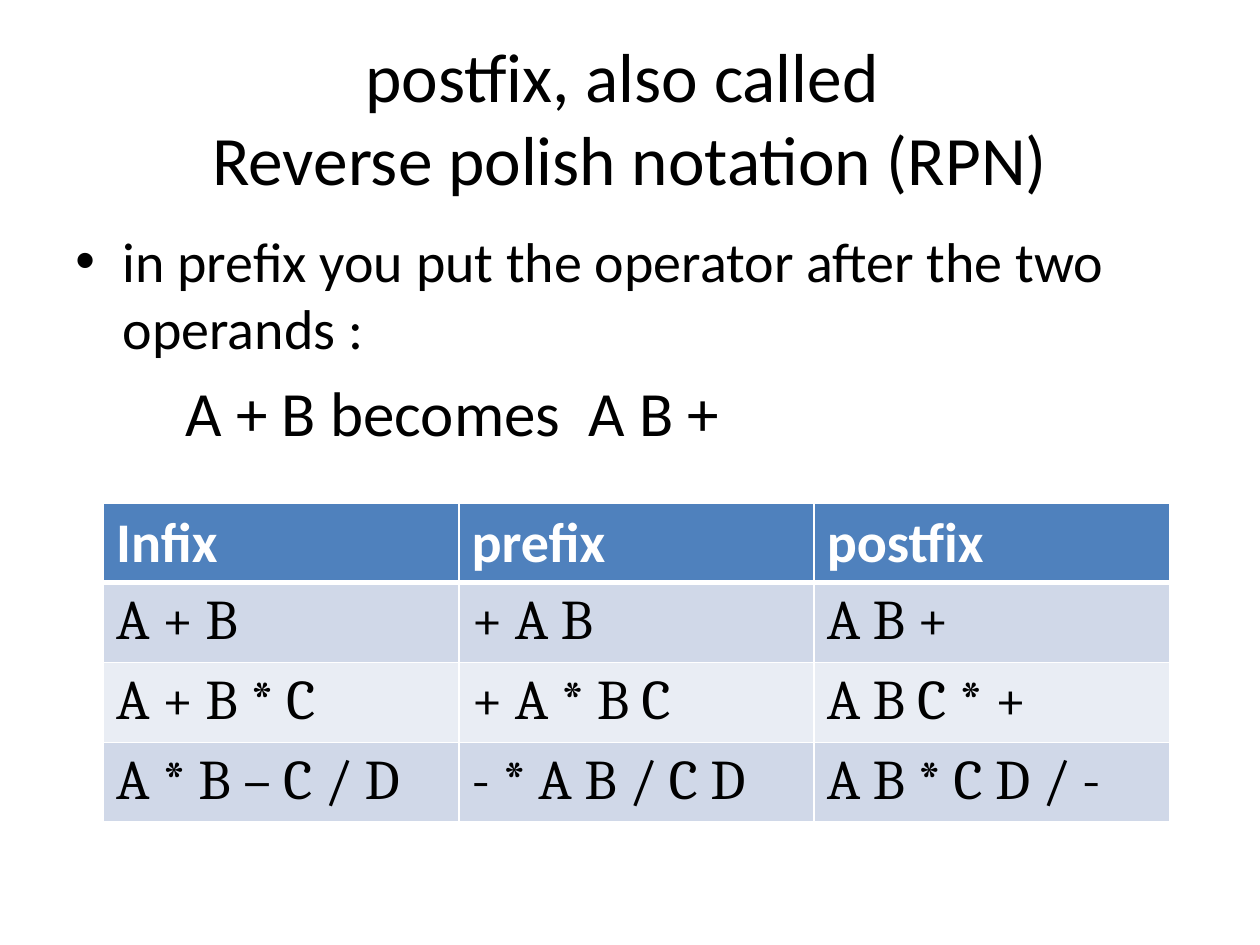
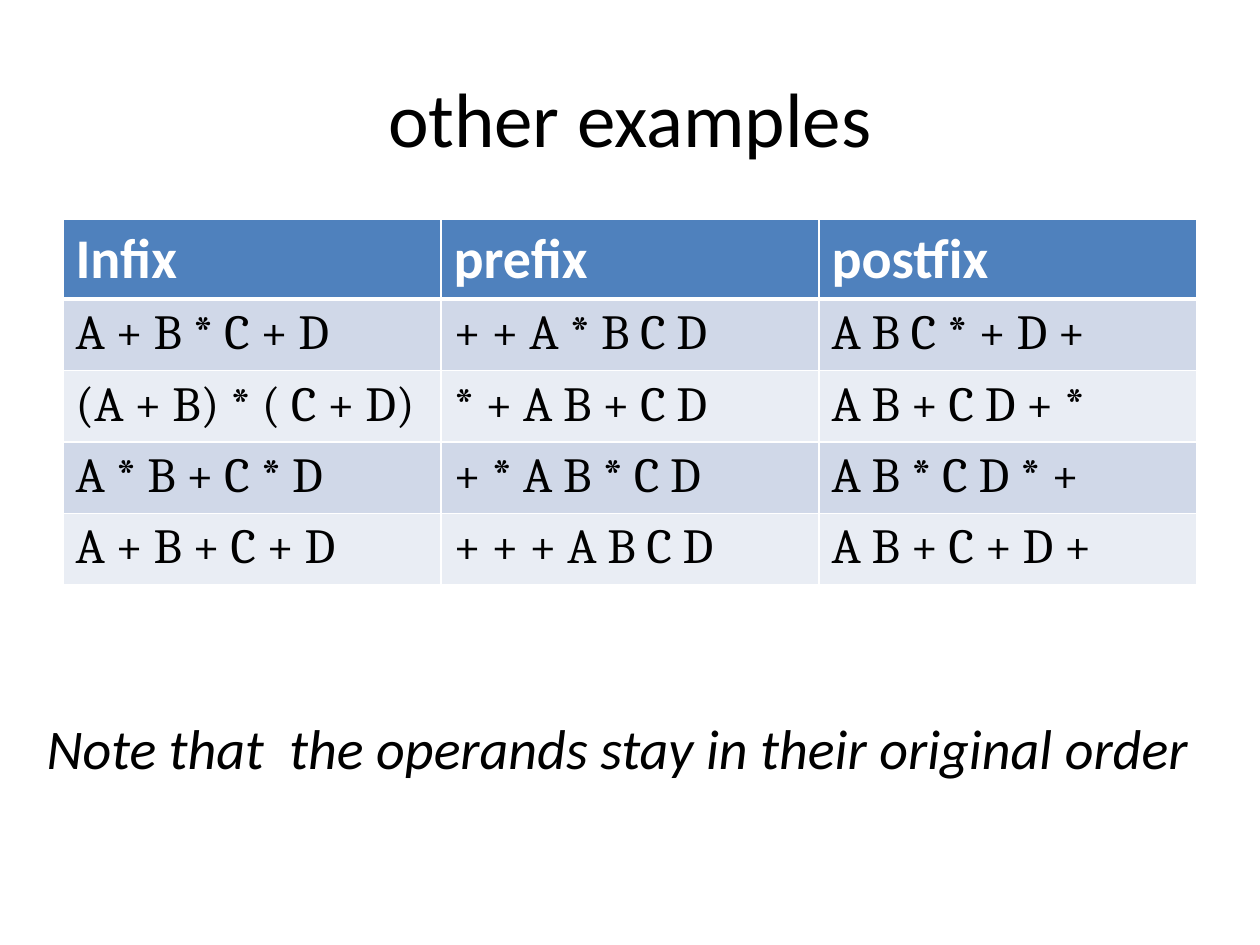
from dataclasses import dataclass

from lxml import etree
from pptx import Presentation
from pptx.dml.color import RGBColor
from pptx.enum.text import MSO_ANCHOR, MSO_AUTO_SIZE, PP_ALIGN
from pptx.oxml.ns import qn
from pptx.util import Pt

MIDDLE = MSO_ANCHOR.MIDDLE
GROW = MSO_AUTO_SIZE.SHAPE_TO_FIT_TEXT
CENTER = PP_ALIGN.CENTER


@dataclass(frozen=True)
class Theme:
    text: str = "000000"
    white: str = "FFFFFF"
    header: str = "4F81BD"
    bands: tuple = ("D0D8E8", "E9EDF4")
    font: str = "Calibri"
    formula_font: str = "Cambria"
    title_size: float = 44
    long_title_size: float = 39.6
    body_size: float = 32
    example_size: float = 36
    small_formula_size: float = 28
    title_box: tuple = (36, 21.6, 648, 90)
    header_height: float = 31.68
    row_height: float = 29.52


THEME = Theme()
HEADINGS = ("Infix", "prefix ", "postfix")


def format_paragraph(paragraph, size, color=THEME.text, font=THEME.font, bold=False, italic=False):
    for run in paragraph.runs:
        run.font.size = Pt(size)
        run.font.name = font
        run.font.color.rgb = RGBColor.from_string(color)
        run.font.bold = bold
        run.font.italic = italic


def add_text(slide, box, text, wrap=True):
    shape = slide.shapes.add_textbox(*map(Pt, box))
    shape.text_frame.word_wrap = wrap
    shape.text_frame.text = text
    return shape.text_frame


def add_title(slide, text, size=THEME.title_size):
    frame = add_text(slide, THEME.title_box, text)
    frame.vertical_anchor = MIDDLE
    paragraph = frame.paragraphs[0]
    paragraph.alignment = CENTER
    format_paragraph(paragraph, size)


def set_indent(paragraph, margin, hanging=0, bullet=None):
    properties = paragraph._p.get_or_add_pPr()
    properties.set("marL", str(Pt(margin)))
    properties.set("indent", str(-Pt(hanging)))
    if bullet:
        etree.SubElement(properties, qn("a:buFont"), typeface="Arial")
        etree.SubElement(properties, qn("a:buChar"), char=bullet)
    else:
        etree.SubElement(properties, qn("a:buNone"))


def add_rule(slide, box, rule, example):
    frame = add_text(slide, box, f"{rule}\n{example}")
    rule_paragraph, example_paragraph = frame.paragraphs
    example_paragraph.level = 2
    for paragraph, size in ((rule_paragraph, THEME.body_size), (example_paragraph, THEME.example_size)):
        paragraph.space_before = Pt(size * 0.2)
        format_paragraph(paragraph, size)
    set_indent(rule_paragraph, 27, 27, "•")
    set_indent(example_paragraph, 63)


def set_borders(cell, bottom_width):
    properties = cell._tc.get_or_add_tcPr()
    widths = {"a:lnL": 1, "a:lnR": 1, "a:lnT": 1, "a:lnB": bottom_width}
    for position, (tag, width) in enumerate(widths.items()):
        line = etree.Element(qn(tag), w=str(Pt(width)))
        fill = etree.SubElement(line, qn("a:solidFill"))
        etree.SubElement(fill, qn("a:srgbClr"), val=THEME.white)
        properties.insert(position, line)


def fill_cell(cell, text, fill, bottom_width, **style):
    cell.text = text
    cell.fill.solid()
    cell.fill.fore_color.rgb = RGBColor.from_string(fill)
    set_borders(cell, bottom_width)
    format_paragraph(cell.text_frame.paragraphs[0], **style)


def add_notation_table(slide, box, formulas, formula_size):
    left, top, width, height = map(Pt, box)
    graphic_frame = slide.shapes.add_table(len(formulas) + 1, len(HEADINGS), left, top, width, height)
    table = graphic_frame.table
    for row in table.rows:
        row.height = Pt(THEME.row_height)
    table.rows[0].height = Pt(THEME.header_height)
    graphic_frame.height = height

    for column, heading in enumerate(HEADINGS):
        fill_cell(table.cell(0, column), heading, THEME.header, 3,
                  size=THEME.body_size, color=THEME.white, bold=True)
    for row, texts in enumerate(formulas, start=1):
        band = THEME.bands[(row - 1) % len(THEME.bands)]
        for column, text in enumerate(texts):
            cell = table.cell(row, column)
            fill_cell(cell, text, band, 1, size=formula_size, font=THEME.formula_font)
            if row == 1:
                top_line = cell._tc.tcPr.find(qn("a:lnT"))
                top_line.set("w", str(Pt(3)))


def add_note(slide, box, text):
    frame = add_text(slide, box, text, wrap=False)
    frame.auto_size = GROW
    format_paragraph(frame.paragraphs[0], THEME.body_size, italic=True)


def build_postfix_slide(slide):
    add_title(slide, "postfix, also called \vReverse polish notation (RPN)", THEME.long_title_size)
    add_rule(slide, (36, 126, 648, 157),
             "in prefix you put the operator after the two operands :",
             "A + B becomes  A B +")
    add_notation_table(slide, (59.2, 287.3, 609.2, 182.2), (
        ("A + B", "+ A B", "A B +"),
        ("A + B * C", "+ A * B C", "A B C * +"),
        ("A * B – C / D", "- * A B / C D", "A B * C D / -"),
    ), THEME.body_size)


def build_examples_slide(slide):
    add_title(slide, "other examples")
    add_notation_table(slide, (36, 125.3, 648, 208.8), (
        ("A + B * C + D", "+ + A * B C D", "A B C * + D +"),
        ("(A + B) * ( C + D)", "* + A B + C D", "A B + C D + *"),
        ("A * B + C * D", "+ * A B * C D", "A B * C D * +"),
        ("A + B + C + D", "+ + + A B C D", "A B + C + D +"),
    ), THEME.small_formula_size)
    add_note(slide, (19.5, 404, 682, 46), "Note that  the operands stay in their original order")


def main():
    presentation = Presentation()
    presentation.slide_width = Pt(720)
    presentation.slide_height = Pt(540)
    blank_layout = presentation.slide_layouts[6]
    for build_slide in (build_postfix_slide, build_examples_slide):
        build_slide(presentation.slides.add_slide(blank_layout))
    presentation.save("out.pptx")


main()
